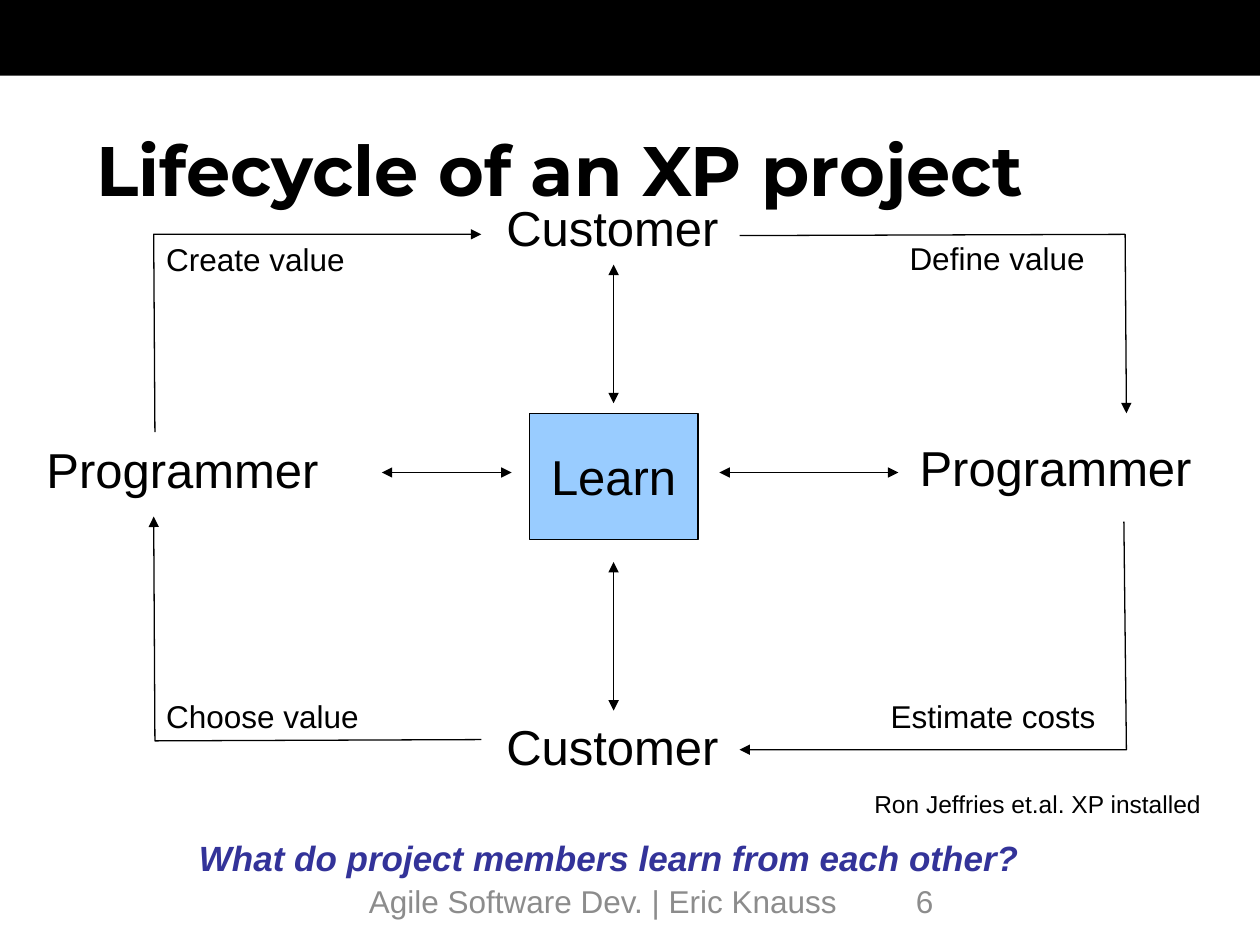
from lxml.etree import SubElement
from pptx import Presentation
from pptx.dml.color import RGBColor
from pptx.enum.shapes import MSO_CONNECTOR as Connector, MSO_SHAPE as Shape
from pptx.enum.text import MSO_ANCHOR as Anchor, PP_ALIGN as Align
from pptx.oxml.ns import qn
from pptx.util import Inches, Pt

BLACK = RGBColor(0x00, 0x00, 0x00)
SKY = RGBColor(0x99, 0xCC, 0xFF)
INDIGO = RGBColor(0x33, 0x33, 0x99)
GRAY = RGBColor(0x8C, 0x8C, 0x8C)

# Content: text, (left, top, width, height)
TITLE = ("Lifecycle of an XP project", (0.67, 0.92, 9.33, 0.83))
ROLES = [
    ("Customer", (3.92, 1.52, 1.9, 0.57)),
    ("Customer", (3.92, 5.64, 1.9, 0.57)),
    ("Programmer", (0.27, 3.44, 2.38, 0.57)),
    ("Programmer", (7.2, 3.42, 2.38, 0.57)),
]
STEPS = [
    ("Define value", (7.12, 1.85, 1.61, 0.4)),
    ("Estimate costs", (6.97, 5.48, 1.84, 0.4)),
    ("Choose value", (1.22, 5.48, 1.75, 0.4)),
    ("Create value", (1.22, 1.86, 1.63, 0.4)),
]
QUESTION = ("What do project members learn from each other?", (1.48, 6.59, 6.83, 0.44))
CREDIT = ("Ron Jeffries et.al. XP installed", (6.84, 6.21, 2.81, 0.34))
FOOTERS = [
    ("Agile Software Dev. | Eric Knauss", (2.83, 6.95, 4.33, 0.4)),
    ("6", (7.17, 6.95, 2.33, 0.4)),
]
BAR = (0, 0, 10, 0.6)
LEARN = ("Learn", (4.2, 3.28, 1.34, 1))

# Bent arrows of the cycle, clockwise from the top customer
CYCLE = [
    [(5.87, 1.87), (8.93, 1.86), (8.94, 3.28)],
    [(8.92, 4.14), (8.94, 5.95), (5.87, 5.95)],
    [(3.82, 5.87), (1.23, 5.88), (1.22, 4.1)],
    [(1.23, 3.43), (1.22, 1.86), (3.82, 1.86)],
]
# Two-way arrows around the centre
CENTER_X, CENTER_Y = 4.87, 3.75
LINKS = [
    ((CENTER_X, 5.64), (CENTER_X, 4.46)),
    ((CENTER_X, 3.2), (CENTER_X, 2.1)),
    ((7.13, CENTER_Y), (5.71, CENTER_Y)),
    ((4.06, CENTER_Y), (3.03, CENTER_Y)),
]

deck = Presentation()
deck.slide_width, deck.slide_height = Inches(10), Inches(7.5)
page = deck.slides.add_slide(deck.slide_layouts[6])


def inches(values):
    return [Inches(value) for value in values]


def write(frame, text, size, color=BLACK, font="Arial", bold=False, italic=False):
    span = frame.paragraphs[0].add_run()
    span.text = text
    span.font.name, span.font.size = font, Pt(size)
    span.font.bold, span.font.italic = bold, italic
    span.font.color.rgb = color


def add_text(item, size, wrap=False, anchor=Anchor.TOP, **style):
    text, place = item
    frame = page.shapes.add_textbox(*inches(place)).text_frame
    frame.word_wrap, frame.vertical_anchor = wrap, anchor
    write(frame, text, size, **style)


def add_rect(place, fill):
    rect = page.shapes.add_shape(Shape.RECTANGLE, *inches(place))
    rect.shadow.inherit = False
    rect.fill.solid()
    rect.fill.fore_color.rgb = fill
    return rect


def draw_line(shape, *ends):
    shape.line.color.rgb = BLACK
    shape.line.width = Pt(0.75)
    outline = shape.line._get_or_add_ln()
    for end in ends:
        SubElement(outline, qn("a:" + end), type="triangle")


# Top bar and title
add_rect(BAR, BLACK).line.fill.background()
add_text(TITLE, 40, wrap=True, anchor=Anchor.MIDDLE, font="Montserrat", bold=True)

# Cycle: roles, bent arrows, steps
for role in ROLES:
    add_text(role, 28)
for start, *rest in CYCLE:
    builder = page.shapes.build_freeform(*inches(start))
    builder.add_line_segments([inches(point) for point in rest], close=False)
    bend = builder.convert_to_shape()
    bend.shadow.inherit = False
    bend.fill.background()
    draw_line(bend, "tailEnd")
for step in STEPS:
    add_text(step, 18)

# Centre box and its two-way arrows
text, place = LEARN
center = add_rect(place, SKY)
draw_line(center)
frame = center.text_frame
frame.word_wrap, frame.vertical_anchor = False, Anchor.MIDDLE
frame.paragraphs[0].alignment = Align.CENTER
write(frame, text, 28)
for start, end in LINKS:
    link = page.shapes.add_connector(Connector.STRAIGHT, *inches(start + end))
    draw_line(link, "headEnd", "tailEnd")
    SubElement(link._element.spPr, qn("a:effectLst"))

# Question, credit and footer
add_text(QUESTION, 20, color=INDIGO, bold=True, italic=True)
add_text(CREDIT, 14)
for footer in FOOTERS:
    add_text(footer, 18, wrap=True, color=GRAY)

deck.save("out.pptx")
